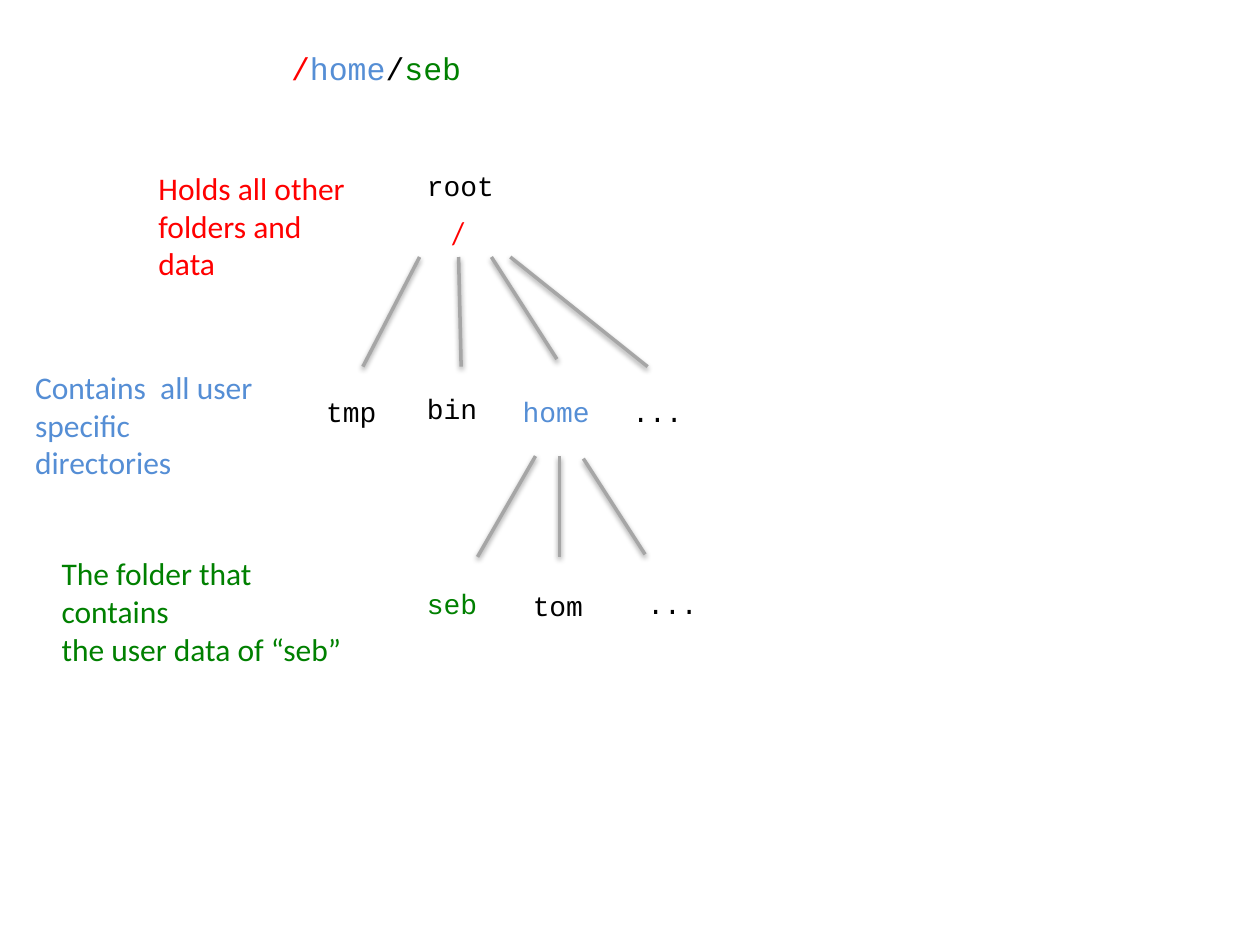
from typing import NamedTuple

from pptx import Presentation
from pptx.dml.color import RGBColor
from pptx.enum.shapes import MSO_CONNECTOR
from pptx.enum.text import MSO_ANCHOR, MSO_AUTO_SIZE, PP_ALIGN
from pptx.util import Inches, Pt

RED, BLUE, GREEN, BLACK, GRAY = "FF0000", "558ED5", "008000", "000000", "A6A6A6"
MONO, SANS = "Courier New", "Calibri"


class Note(NamedTuple):
    """Explanation of one part of the directory tree."""
    text: str
    left: float
    top: float
    width: float
    color: str


class Folder(NamedTuple):
    """Name of one folder in the tree."""
    name: str
    left: float
    top: float
    width: float = 0.61
    color: str = BLACK


class Branch(NamedTuple):
    """Line from a parent folder to a child."""
    x1: float
    y1: float
    x2: float
    y2: float


NOTES = [
    Note("Holds all other\nfolders and data", 1.16, 1.29, 1.8, RED),
    Note("Contains  all user\nspecific directories", 0.18, 2.87, 2.04, BLUE),
    Note("The folder that contains\nthe user data of “seb”", 0.39, 4.35, 2.57, GREEN),
]
FOLDERS = [
    Folder("root", 3.29, 1.29, 0.74),
    Folder("tmp", 2.49, 3.08),
    Folder("bin", 3.29, 3.06),
    Folder("home", 4.05, 3.08, 0.74, BLUE),
    Folder("...", 4.92, 3.08),
    Folder("seb", 3.29, 4.61, color=GREEN),
    Folder("tom", 4.13, 4.62),
    Folder("...", 5.04, 4.61),
]
BRANCHES = [
    Branch(3.33, 2.04, 2.88, 2.91),
    Branch(3.64, 2.04, 3.66, 2.91),
    Branch(3.9, 2.04, 4.42, 2.85),
    Branch(4.05, 2.04, 5.14, 2.91),
    Branch(4.25, 3.62, 3.79, 4.42),
    Branch(4.44, 3.62, 4.44, 4.42),
    Branch(4.63, 3.64, 5.12, 4.4),
]
PATH_PARTS = [("/", RED), ("home", BLUE), ("/", BLACK), ("seb", GREEN)]


def rgb(color: str) -> RGBColor:
    """Turn a hex string into a colour."""
    return RGBColor.from_string(color)


def add_run(paragraph, text: str, *, size: float, font: str, color: str) -> None:
    """Append formatted text, breaking lines at newlines."""
    for index, line in enumerate(text.split("\n")):
        if index:
            paragraph.add_line_break()
        run = paragraph.add_run()
        run.text = line
        run.font.size = Pt(size)
        run.font.name = font
        run.font.color.rgb = rgb(color)


def add_text(slide, text: str, left: float, top: float, width: float, height: float,
             *, size: float, font: str, color: str, wrap: bool = False) -> None:
    """Place one text box with a single format."""
    box = slide.shapes.add_textbox(Inches(left), Inches(top), Inches(width), Inches(height))
    box.text_frame.word_wrap = wrap
    add_run(box.text_frame.paragraphs[0], text, size=size, font=font, color=color)


def add_branch(slide, branch: Branch) -> None:
    """Draw one branch with the theme's soft shadow."""
    line = slide.shapes.add_connector(MSO_CONNECTOR.STRAIGHT, *map(Inches, branch)).line
    line.color.rgb = rgb(GRAY)
    line.width = Pt(2)


def add_path_title(slide) -> None:
    """Fill the title with the path, one colour per part."""
    title = slide.shapes.title
    title.left, title.top = Inches(2.21), Inches(0.34)
    title.width, title.height = Inches(1.57), Inches(0.4)
    frame = title.text_frame
    frame.word_wrap = False
    frame.auto_size = MSO_AUTO_SIZE.NONE
    frame.vertical_anchor = MSO_ANCHOR.MIDDLE
    paragraph = frame.paragraphs[0]
    paragraph.alignment = PP_ALIGN.LEFT
    for part, color in PATH_PARTS:
        add_run(paragraph, part, size=18, font=MONO, color=color)


def main() -> None:
    """Build the directory tree slide."""
    deck = Presentation()
    deck.slide_width, deck.slide_height = Inches(10), Inches(7.5)
    slide = deck.slides.add_slide(deck.slide_layouts[5])
    add_path_title(slide)
    add_text(slide, "/", 3.49, 1.64, 0.3, 0.4, size=18, font=SANS, color=RED)
    for branch in BRANCHES:
        add_branch(slide, branch)
    for folder in FOLDERS:
        add_text(slide, folder.name, folder.left, folder.top, folder.width, 0.37,
                 size=16, font=MONO, color=folder.color)
    for note in NOTES:
        add_text(slide, note.text, note.left, note.top, note.width, 0.71,
                 size=18, font=SANS, color=note.color, wrap=True)
    deck.save("out.pptx")


if __name__ == "__main__":
    main()
